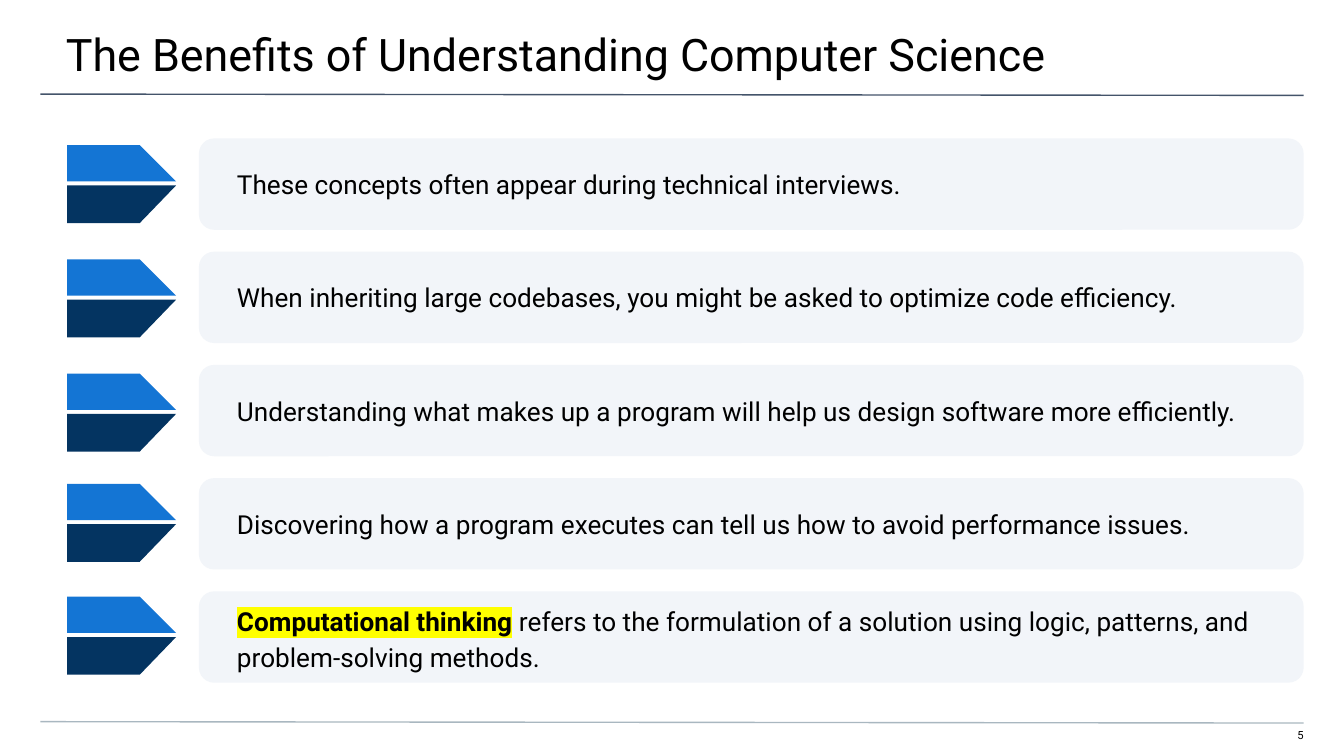
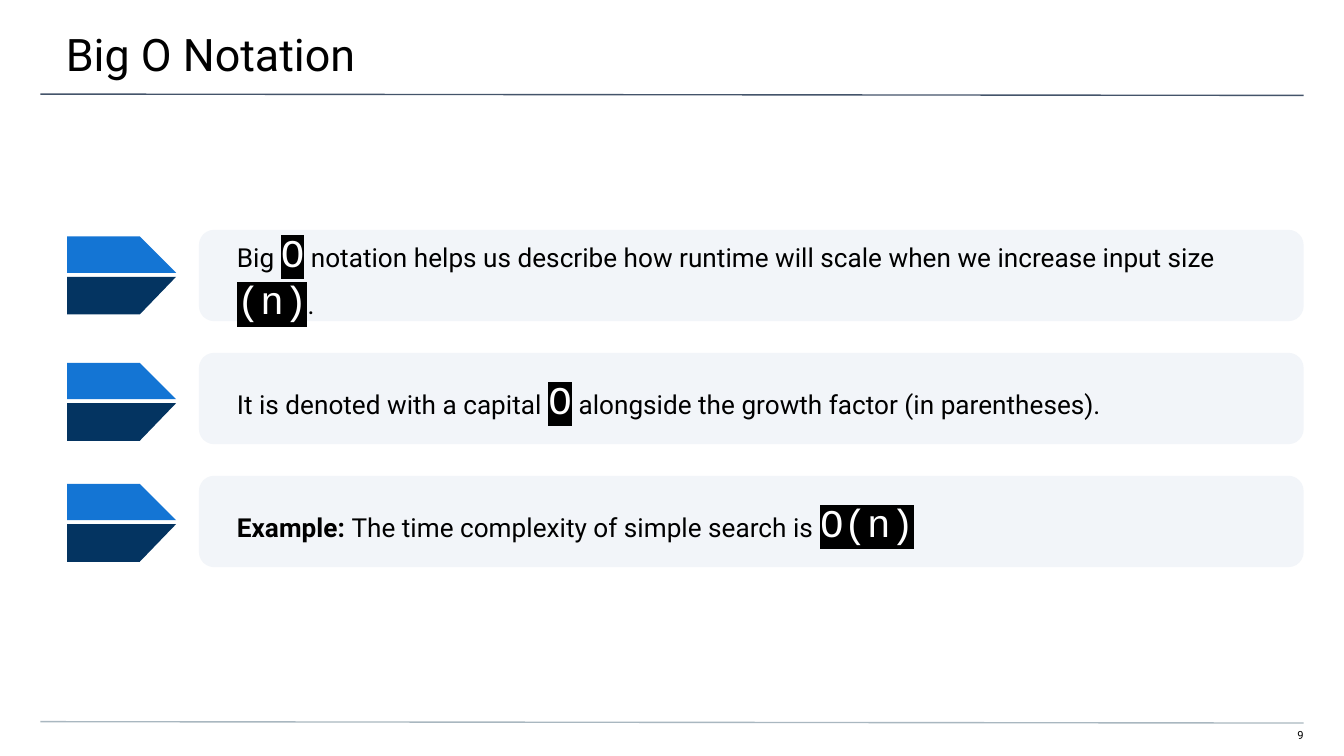
"""Build two slides of key points on computer science and Big O."""
import pptx
import pptx.util
import pptx.dml.color
import pptx.enum.shapes
import pptx.enum.text
import pptx.oxml.ns
from lxml import etree
from pptx.util import Inches

HUES = {
    "ink": "000000", "white": "FFFFFF", "rule": "44546A", "foot": "A9B7C0",
    "sky": "1475D4", "navy": "043461", "card": "F2F5F9", "mark": "FFFF00",
}
PLAIN = {}
BOLD = {"bold": True}
TERM = {"bold": True, "mark": "mark"}
CODE = {"size": 21, "face": "Courier New", "hue": "white", "mark": "ink"}


def color(name):
    return pptx.dml.color.RGBColor.from_string(HUES[name])


def write(par, text, size=14, face="Roboto", hue="ink", bold=False, mark=None):
    run = par.add_run()
    run.text = text
    font = run.font
    font.size = pptx.util.Pt(size)
    font.bold = bold
    font.color.rgb = color(hue)
    if mark:
        tag = pptx.oxml.ns.qn
        glow = etree.SubElement(run._r.get_or_add_rPr(), tag("a:highlight"))
        etree.SubElement(glow, tag("a:srgbClr"), val=HUES[mark])
    font.name = face


class Deck:
    def __init__(self):
        self.prs = pptx.Presentation()
        self.prs.slide_width = Inches(10)
        self.prs.slide_height = Inches(10) * 9 // 16
        self.slide = None

    def page(self, title, num):
        self.slide = self.prs.slides.add_slide(self.prs.slide_layouts[6])
        self.line(0.7, "rule")
        self.line(5.37, "foot")
        self.label(title, -0.01, 0, 10.03, 0.58, (0.5, 0.2, 0.3, 0.1), size=24)
        self.label(num, 9.41, 5.42, 0.29, 0.12, (0, 0, 0, 0.1), "RIGHT", size=6)

    def frame(self, shape, pads, anchor):
        box = shape.text_frame
        box.word_wrap = True
        box.vertical_anchor = anchor
        (box.margin_left, box.margin_top,
         box.margin_right, box.margin_bottom) = map(Inches, pads)
        return box.paragraphs[0]

    def label(self, text, left, top, wide, high, pads, side="LEFT", **fmt):
        box = self.slide.shapes.add_textbox(*map(Inches, (left, top, wide, high)))
        par = self.frame(box, pads, pptx.enum.text.MSO_ANCHOR.TOP)
        par.alignment = pptx.enum.text.PP_ALIGN[side]
        write(par, text, **fmt)

    def line(self, top, hue):
        kind = pptx.enum.shapes.MSO_CONNECTOR.STRAIGHT
        ends = map(Inches, (0.3, top, 9.7, top + 0.01))
        rule = self.slide.shapes.add_connector(kind, *ends)
        rule.line.color.rgb = color(hue)
        rule.line.width = pptx.util.Pt(0.75)
        etree.SubElement(rule._element.spPr, pptx.oxml.ns.qn("a:effectLst"))

    def paint(self, shape, hue):
        shape.shadow.inherit = False
        shape.fill.solid()
        shape.fill.fore_color.rgb = color(hue)
        shape.line.fill.background()

    def half(self, edge, base, hue):
        pts = [(0.5, edge), (0.5, base), (1.31, base), (1.04, edge)]
        pts = [(Inches(x), Inches(y)) for x, y in pts]
        pen = self.slide.shapes.build_freeform(*pts[0])
        pen.add_line_segments(pts[1:])
        self.paint(pen.convert_to_shape(), hue)

    def arrow(self, top):
        self.half(top, top + 0.27, "sky")
        self.half(top + 0.58, top + 0.3, "navy")

    def card(self, top, runs, gap):
        kind = pptx.enum.shapes.MSO_SHAPE.ROUNDED_RECTANGLE
        spot = map(Inches, (1.48, top, 8.22, 0.68))
        card = self.slide.shapes.add_shape(kind, *spot)
        card.adjustments[0] = 0.167
        self.paint(card, "card")
        pads = (0.25, 0.1, 0.1, 0.1)
        par = self.frame(card, pads, pptx.enum.text.MSO_ANCHOR.MIDDLE)
        par.alignment = pptx.enum.text.PP_ALIGN.LEFT
        par.line_spacing = gap
        for text, style in runs:
            write(par, text, **style)

    def rows(self, first, last, items):
        step = (last - first) / (len(items) - 1)
        for i, (tip, runs, gap) in enumerate(items):
            self.arrow(tip)
            self.card(first + i * step, runs, gap)


GAINS = [
    (1.08, [("These concepts often appear during technical interviews.", PLAIN)], None),
    (1.93, [("When inheriting large codebases, you might be asked to optimize "
             "code efficiency.", PLAIN)], None),
    (2.78, [("Understanding what makes up a program will help us design "
             "software more efficiently.", PLAIN)], None),
    (3.6, [("Discovering how a program executes can tell us how to avoid "
            "performance issues.", PLAIN)], None),
    (4.44, [("Computational thinking", TERM),
            (" refers to the formulation of a solution using logic, patterns, "
             "and problem-solving methods.", PLAIN)], 1.15),
]
BIG_O = [
    (1.76, [("Big ", PLAIN), ("O", CODE),
            (" notation helps us describe how runtime will scale when we "
             "increase input size ", PLAIN), ("(n)", CODE), (".", PLAIN)], None),
    (2.7, [("It is denoted with a capital ", PLAIN), ("O", CODE),
           (" alongside the growth factor (in parentheses).", PLAIN)], None),
    (3.6, [("Example: ", BOLD),
           ("The time complexity of simple search is ", PLAIN),
           ("O(n)", CODE)], None),
]


def main():
    deck = Deck()
    deck.page("The Benefits of Understanding Computer Science", "5")
    deck.rows(1.03, 4.4, GAINS)
    deck.page("Big O Notation", "9")
    deck.rows(1.71, 3.54, BIG_O)
    deck.prs.save("out.pptx")


if __name__ == "__main__":
    main()
